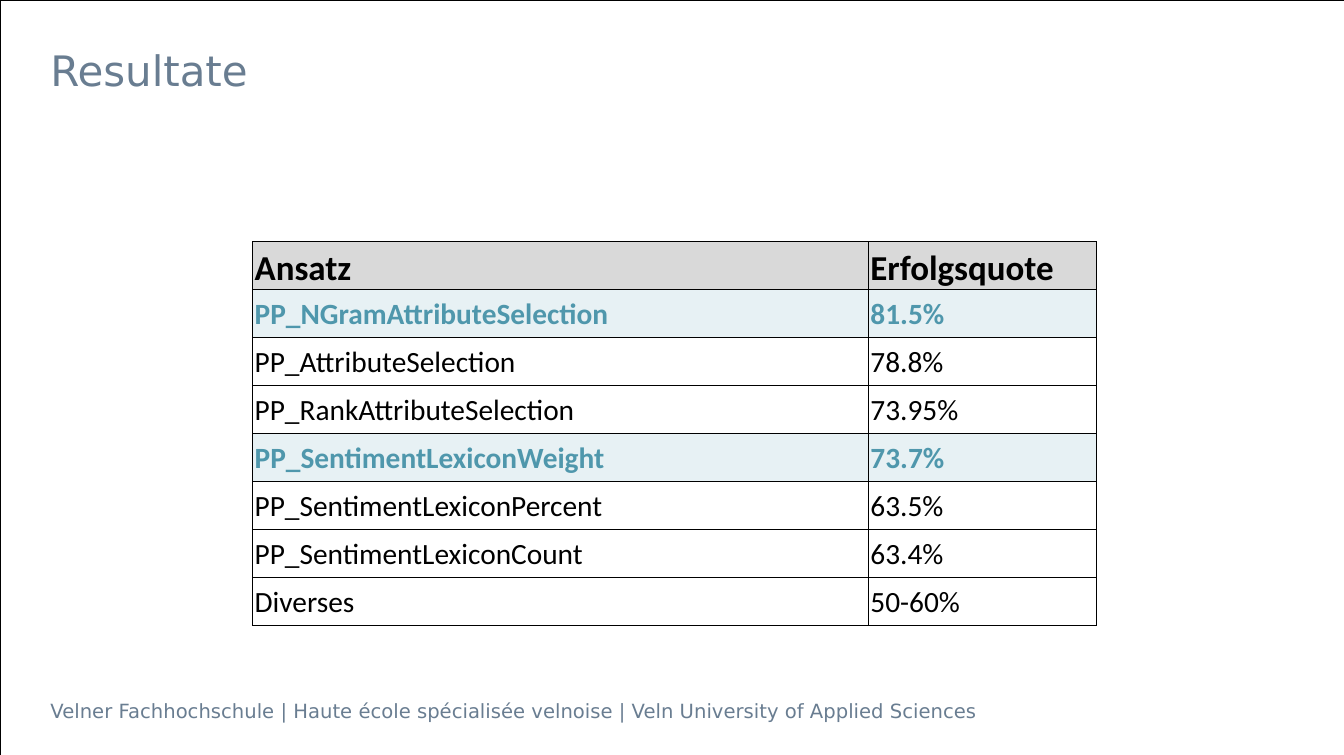
from lxml.etree import SubElement as Sub
from pptx import Presentation
from pptx.dml.color import RGBColor as Rgb
from pptx.enum.shapes import MSO_SHAPE as Kind
from pptx.enum.text import MSO_ANCHOR as Anchor
from pptx.oxml.ns import qn
from pptx.util import Inches, Pt

COLORS = {
    "black": "000000",
    "slate": "697D91",
    "teal": "4F97AC",
    "mist": "E7F1F4",
    "gray": "D9D9D9",
}
SANS, BODY = "DejaVu Sans", "Calibri"

HEAD = ("Ansatz", "Erfolgsquote")
RATES = [
    ("PP_NGramAttributeSelection", "81.5%"),
    ("PP_AttributeSelection", "78.8%"),
    ("PP_RankAttributeSelection", "73.95%"),
    ("PP_SentimentLexiconWeight", "73.7%"),
    ("PP_SentimentLexiconPercent", "63.5%"),
    ("PP_SentimentLexiconCount", "63.4%"),
    ("Diverses", "50-60%"),
]
BEST = ("PP_NGramAttributeSelection", "PP_SentimentLexiconWeight")
SHARES = (0.73, 0.27)

deck = Presentation()
deck.slide_width, deck.slide_height = Inches(13.35), Inches(7.5)
slide = deck.slides.add_slide(deck.slide_layouts[6])


def area(left, top, width, height):
    """Turn percentages of the slide into a box."""
    wide, high = deck.slide_width / 100, deck.slide_height / 100
    return [int(n) for n in (left * wide, top * high, width * wide, height * high)]


def color(name):
    return Rgb.from_string(COLORS[name])


def style(par, face, size, tone, bold=False):
    font = par.font
    font.name, font.size, font.bold = face, Pt(size), bold
    font.color.rgb = color(tone)


def edge(cell):
    props = cell._tc.get_or_add_tcPr()
    for spot, side in enumerate(("lnL", "lnR", "lnT", "lnB")):
        line = Sub(props, qn("a:" + side), w=str(Pt(1)))
        fill = Sub(line, qn("a:solidFill"))
        Sub(fill, qn("a:srgbClr"), val=COLORS["black"])
        props.insert(spot, line)


def frame(box):
    shape = slide.shapes.add_shape(Kind.RECTANGLE, *box)
    shape.shadow.inherit = False
    shape.fill.background()
    shape.line.color.rgb = color("black")
    shape.line.width = Pt(0.5)


def label(box, text, size):
    body = slide.shapes.add_textbox(*box).text_frame
    body.word_wrap = True
    body.margin_left = body.margin_right = 0
    body.text = text
    style(body.paragraphs[0], SANS, size, "slate")


def results(box):
    rows = [HEAD] + RATES
    table = slide.shapes.add_table(len(rows), len(HEAD), *box).table
    table.first_row = table.horz_banding = False
    for col, share in zip(table.columns, SHARES):
        col.width = int(box[2] * share)
    for r, row in enumerate(rows):
        # Header, highlighted and plain rows
        if r == 0:
            size, tone, fill, bold = 25, "black", "gray", True
        elif row[0] in BEST:
            size, tone, fill, bold = 21, "teal", "mist", True
        else:
            size, tone, fill, bold = 21, "black", None, False
        for c, text in enumerate(row):
            cell = table.cell(r, c)
            cell.text = text
            cell.margin_left = cell.margin_right = cell.margin_top = Inches(0.02)
            cell.margin_bottom = 0
            cell.vertical_anchor = Anchor.MIDDLE if r else Anchor.BOTTOM
            style(cell.text_frame.paragraphs[0], BODY, size, tone, bold)
            if fill:
                cell.fill.solid()
                cell.fill.fore_color.rgb = color(fill)
            else:
                cell.fill.background()
            edge(cell)


# Footer and slide border
label(area(3.75, 91.87, 73.2, 4.53),
      "Velner Fachhochschule | Haute école spécialisée velnoise"
      " | Veln University of Applied Sciences", 14)
frame(area(0, 0, 100, 100))

# Title and table
label(area(3.75, 5.2, 92.13, 7.87), "Resultate", 30)
results(area(18.8, 32, 62.77, 50.93))

deck.save("out.pptx")
